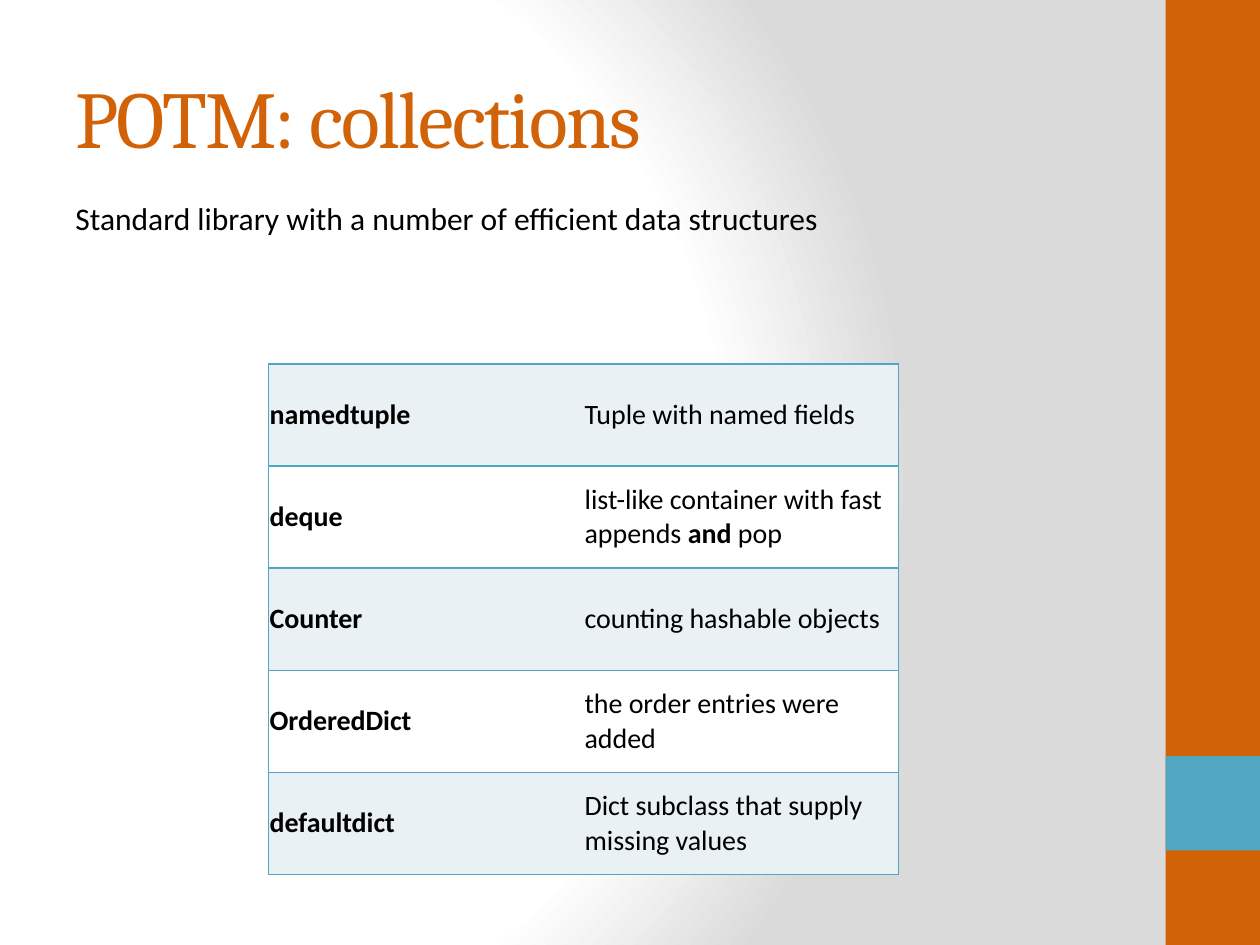
import lxml.etree
import pptx
import pptx.dml.color
import pptx.enum.shapes
import pptx.enum.text
import pptx.oxml
import pptx.oxml.ns
import pptx.util

PX = 9144
COLORS = {"orange": "D16207", "teal": "51A6C2", "pale": "E9F1F4",
          "white": "FFFFFF", "gray": "DADADA", "black": "000000"}
ROWS = [
    ("namedtuple", [("Tuple with named fields", False)]),
    ("deque", [("list-like container with fast appends ", False), ("and ", True), ("pop", False)]),
    ("Counter", [("counting hashable objects", False)]),
    ("OrderedDict", [("the order entries were added", False)]),
    ("defaultdict", [("Dict subclass that supply missing values", False)]),
]


def px(*values):
    """Turn px lengths into a list of EMU."""
    return [pptx.util.Emu(v * PX) for v in values]


def rgb(name):
    """Return the named colour."""
    return pptx.dml.color.RGBColor.from_string(COLORS[name])


def set_font(font, size, face, color):
    """Set size, face and colour of a font."""
    font.size = pptx.util.Pt(size)
    font.name = face
    font.color.rgb = rgb(color)


def add_background(s):
    """Fill the slide with a radial gradient."""
    fill = s.background.fill
    fill.solid()
    fill.fore_color.rgb = rgb("white")
    bg_pr = s.element.find(".//" + pptx.oxml.ns.qn("p:bgPr"))
    stops = "".join(
        f'<a:gs pos="{pos}"><a:srgbClr val="{COLORS[name]}"/></a:gs>'
        for pos, name in ((0, "white"), (75000, "white"), (100000, "gray")))
    grad = pptx.oxml.parse_xml(
        f'<a:gradFill {pptx.oxml.ns.nsdecls("a")} rotWithShape="1"><a:gsLst>{stops}</a:gsLst>'
        '<a:path path="circle"><a:fillToRect l="20000" t="50000" r="100000" b="50000"/>'
        '</a:path></a:gradFill>')
    bg_pr.replace(bg_pr[0], grad)


def add_sidebar(s, x, y, w, h):
    """Draw the side band with its square accent."""
    for top, height, color in ((y, h, "orange"), (y + h - 2 * w, w, "teal")):
        sp = s.shapes.add_shape(pptx.enum.shapes.MSO_SHAPE.RECTANGLE, *px(x, top, w, height))
        sp.shadow.inherit = False
        sp.fill.solid()
        sp.fill.fore_color.rgb = rgb(color)
        sp.line.fill.background()


def add_title(s, x, y, w, h, text):
    """Place and format the title placeholder."""
    sp = s.shapes.title
    sp.left, sp.top, sp.width, sp.height = px(x, y, w, h)
    tf = sp.text_frame
    tf.text = text
    tf.vertical_anchor = pptx.enum.text.MSO_ANCHOR.MIDDLE
    p = tf.paragraphs[0]
    p.alignment = pptx.enum.text.PP_ALIGN.LEFT
    set_font(p.font, 46, "Cambria", "orange")
    p.runs[0].font._element.set("spc", "-100")


def add_summary(s, x, y, w, h, text):
    """Add the one-line description."""
    tf = s.shapes.add_textbox(*px(x, y, w, h)).text_frame
    tf.word_wrap = False
    tf.auto_size = pptx.enum.text.MSO_AUTO_SIZE.SHAPE_TO_FIT_TEXT
    p = tf.paragraphs[0]
    p.text = text
    set_font(p.font, 18, "Calibri", "black")


def set_borders(cell, shown):
    """Draw the shown edges of a cell and clear the others."""
    tc_pr = cell._tc.get_or_add_tcPr()
    for i, edge in enumerate("LRTB"):
        ln = lxml.etree.Element(pptx.oxml.ns.qn(f"a:ln{edge}"), w="12700")
        if edge in shown:
            fill = lxml.etree.SubElement(ln, pptx.oxml.ns.qn("a:solidFill"))
            lxml.etree.SubElement(fill, pptx.oxml.ns.qn("a:srgbClr"), val=COLORS["teal"])
        else:
            lxml.etree.SubElement(ln, pptx.oxml.ns.qn("a:noFill"))
        tc_pr.insert(i, ln)


def fill_cell(cell, runs, fill, edges):
    """Write the runs into a cell and format it."""
    cell.margin_left, cell.margin_right, cell.margin_top, cell.margin_bottom = px(1, 1, 3, 3)
    cell.vertical_anchor = pptx.enum.text.MSO_ANCHOR.MIDDLE
    cell.fill.solid()
    cell.fill.fore_color.rgb = rgb(fill)
    set_borders(cell, edges)
    p = cell.text_frame.paragraphs[0]
    for text, bold in runs:
        r = p.add_run()
        r.text = text
        r.font.bold = bold
    set_font(p.font, 16, "Calibri", "black")


def add_structures(s, x, y, w, h):
    """Add the table of data structures."""
    table = s.shapes.add_table(len(ROWS), 2, *px(x, y, w, h)).table
    table.first_row = table.horz_banding = False
    for i, (name, description) in enumerate(ROWS):
        fill = "white" if i % 2 else "pale"
        fill_cell(table.cell(i, 0), [(name, True)], fill, "LTB")
        fill_cell(table.cell(i, 1), description, fill, "RTB")
        table.cell(i, 0).text_frame.paragraphs[0].space_after = pptx.util.Pt(16)


def main():
    """Build and save the slide."""
    prs = pptx.Presentation()
    prs.slide_width, prs.slide_height = px(1000, 750)
    s = prs.slides.add_slide(prs.slide_layouts.get_by_name("Title Only"))
    add_background(s)
    add_sidebar(s, 925, 0, 75, 750)
    add_title(s, 50, 30, 833, 125, "POTM: collections")
    add_structures(s, 213, 289, 500, 405)
    add_summary(s, 50, 153, 618, 40,
                "Standard library with a number of efficient data structures")
    prs.save("out.pptx")


if __name__ == "__main__":
    main()
